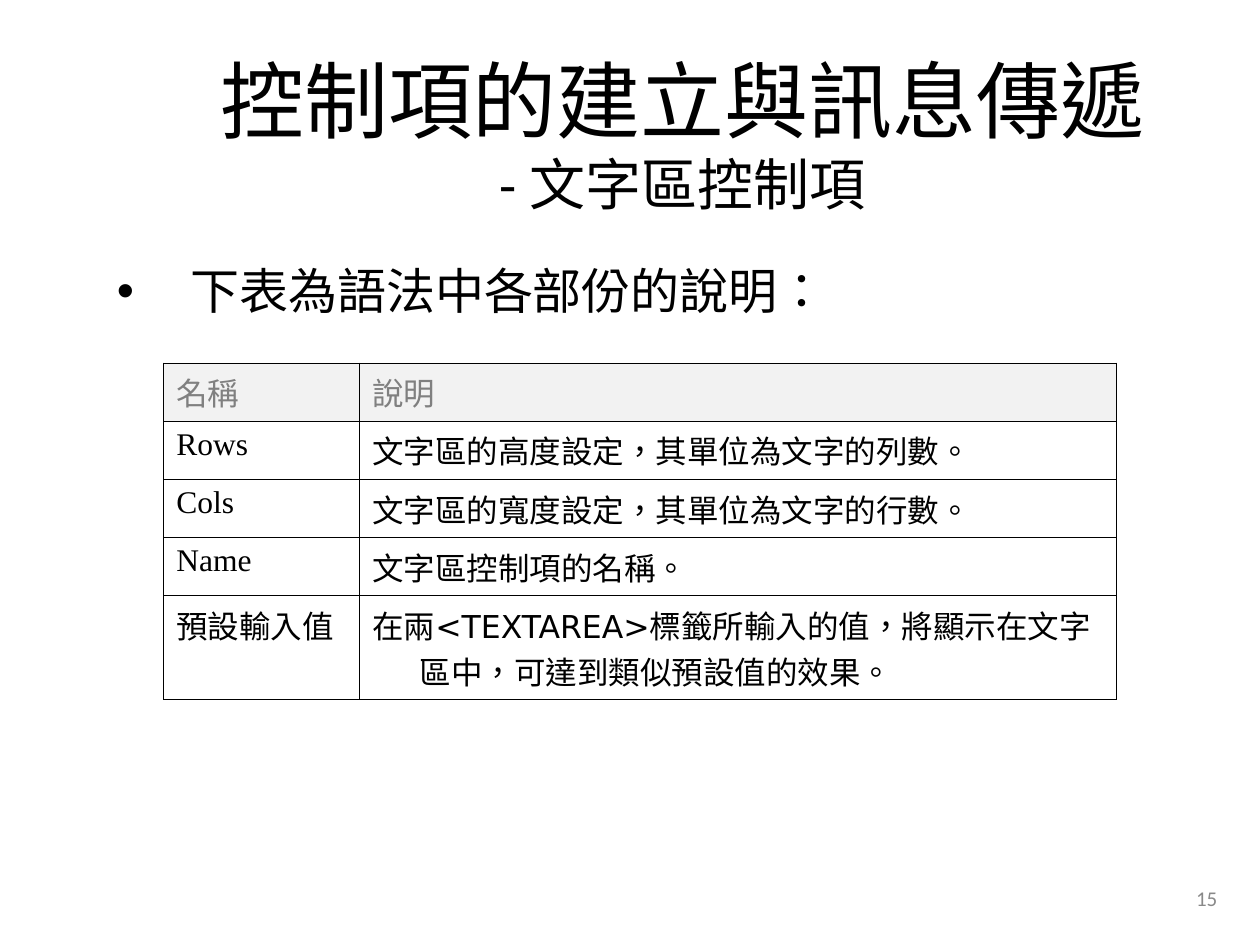
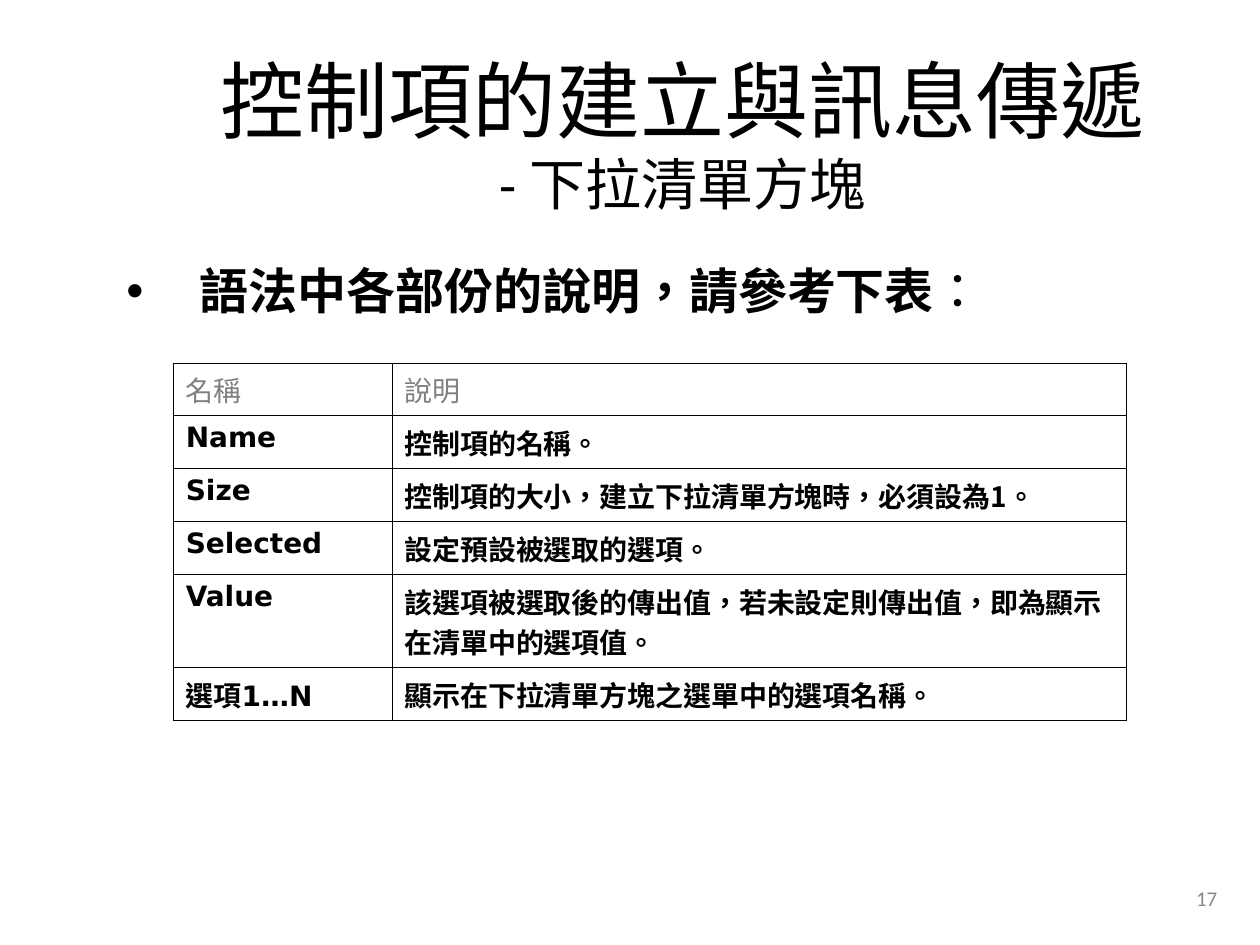
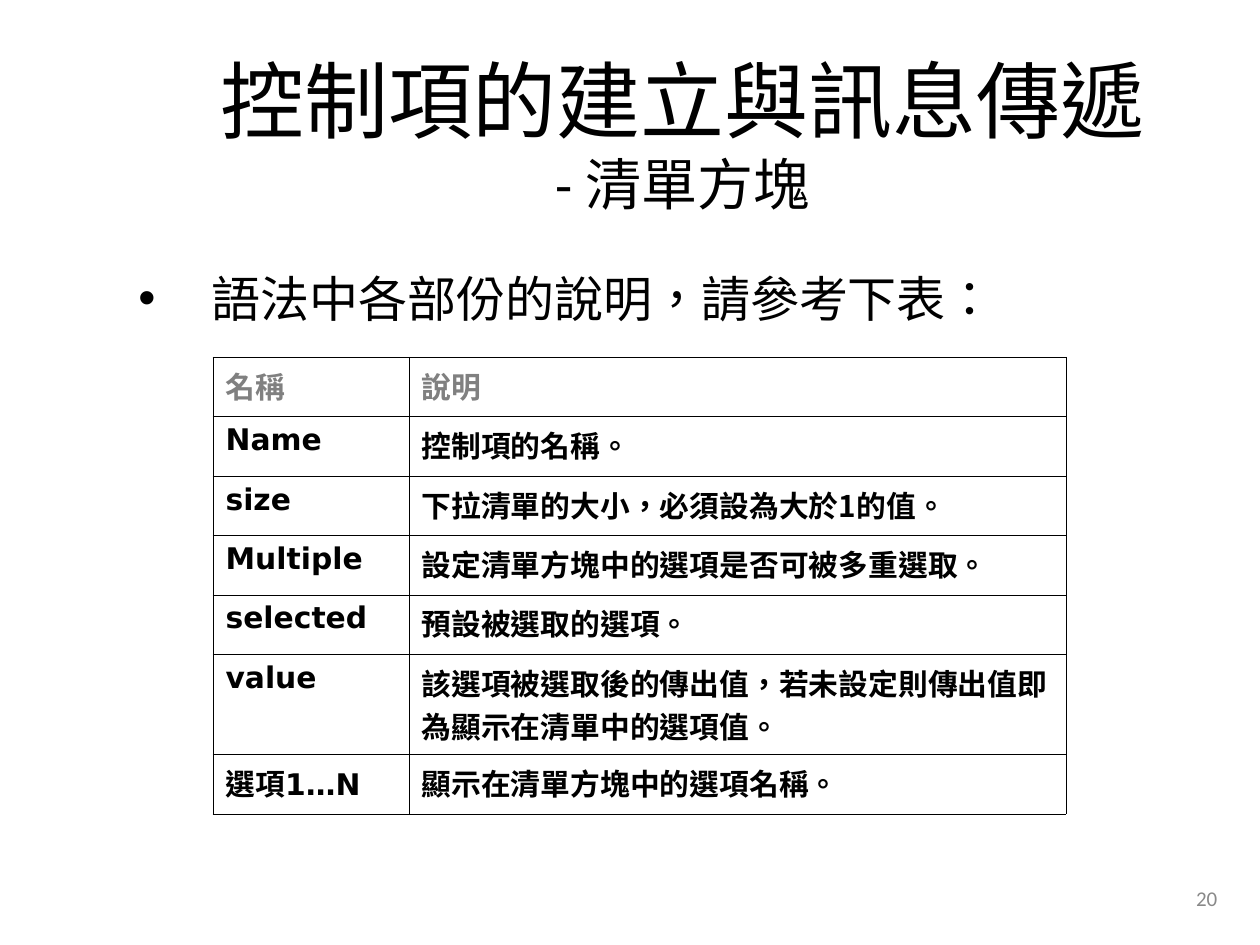
from dataclasses import dataclass

import lxml.etree
import pptx
import pptx.dml.color
import pptx.enum.text
import pptx.oxml.ns
import pptx.util

COLUMNS, ROWS = 100, 75
BLACK, GREY, PALE, WHITE, NUMBER_GREY = "000000", "808080", "F2F2F2", "FFFFFF", "898989"
CALIBRI, SERIF, SANS, HAN = "Calibri", "Times New Roman", "DejaVu Sans", "Noto Sans CJK JP"
TOPIC = "控制項的建立與訊息傳遞"
HEADINGS = ("名稱", "說明")

deck = pptx.Presentation()
deck.slide_width = pptx.util.Inches(10)
deck.slide_height = pptx.util.Inches(7.5)


@dataclass(frozen=True)
class Area:
    left: float
    top: float
    width: float
    height: float

    def lengths(self) -> tuple[int, int, int, int]:
        return across(self.left), down(self.top), across(self.width), down(self.height)


@dataclass(frozen=True)
class Span:
    text: str
    size: float
    font: str = CALIBRI
    color: str = BLACK
    bold: bool = False


@dataclass(frozen=True)
class Grid:
    area: Area
    columns: tuple[float, ...]
    row: float
    tall_row: float
    tall_index: int
    size: float
    border: float
    name_font: str
    note_font: str
    entries: tuple[tuple[str, str], ...]
    heading_fill: str = WHITE
    heading_bold: bool = False
    bold: bool = True
    hanging: float = 0


@dataclass(frozen=True)
class Lesson:
    subject: str
    lead_area: Area
    lead: tuple[Span, ...]
    grid: Grid
    number: int


TITLE_AREA = Area(9.5, 3.4, 89.3, 14.3)
NUMBER_AREA = Area(76.8, 68.8, 20.8, 5)


def across(columns: float) -> int:
    return round(deck.slide_width * columns / COLUMNS)


def down(rows: float) -> int:
    return round(deck.slide_height * rows / ROWS)


def rgb(color: str) -> pptx.dml.color.RGBColor:
    return pptx.dml.color.RGBColor.from_string(color)


def add_child(parent, tag: str, **attributes: str):
    child = lxml.etree.SubElement(parent, pptx.oxml.ns.qn(tag))
    for key, value in attributes.items():
        child.set(key, value)
    return child


def add_span(para, span: Span) -> None:
    run = para.add_run()
    run.text = span.text
    run.font.size = pptx.util.Pt(span.size)
    run.font.name = span.font
    run.font.bold = span.bold
    run.font.color.rgb = rgb(span.color)
    properties = run.font._element
    properties.set("lang", "zh-TW")
    add_child(properties, "a:ea", typeface=HAN)


def hang(para, columns: float) -> None:
    properties = para._p.get_or_add_pPr()
    properties.set("marL", str(across(columns)))
    properties.set("indent", str(-across(columns)))


def place_title(page, subject: str) -> None:
    title = page.shapes.title
    title.left, title.top, title.width, title.height = TITLE_AREA.lengths()
    frame = title.text_frame
    frame.auto_size = pptx.enum.text.MSO_AUTO_SIZE.NONE
    frame.vertical_anchor = pptx.enum.text.MSO_ANCHOR.MIDDLE
    para = frame.paragraphs[0]
    para.alignment = pptx.enum.text.PP_ALIGN.CENTER
    add_span(para, Span(TOPIC, 48))
    para.add_line_break()
    add_span(para, Span(f"- {subject}", 32))


def add_box(page, area: Area, spans: tuple[Span, ...]):
    box = page.shapes.add_textbox(*area.lengths())
    box.text_frame.word_wrap = True
    para = box.text_frame.paragraphs[0]
    for span in spans:
        add_span(para, span)
    return box


def add_lead(page, area: Area, spans: tuple[Span, ...]) -> None:
    para = add_box(page, area, spans).text_frame.paragraphs[0]
    hang(para, 5.83)
    properties = para._p.get_or_add_pPr()
    add_child(properties, "a:buFont", typeface="Arial")
    add_child(properties, "a:buChar", char="•")


def add_number(page, number: int) -> None:
    box = add_box(page, NUMBER_AREA, (Span(str(number), 12, color=NUMBER_GREY),))
    box.text_frame.vertical_anchor = pptx.enum.text.MSO_ANCHOR.MIDDLE
    box.text_frame.paragraphs[0].alignment = pptx.enum.text.PP_ALIGN.RIGHT


def outline(cell, width: float) -> None:
    properties = cell._tc.get_or_add_tcPr()
    for index, side in enumerate(("a:lnL", "a:lnR", "a:lnT", "a:lnB")):
        line = add_child(properties, side, w=str(pptx.util.Pt(width)))
        add_child(add_child(line, "a:solidFill"), "a:srgbClr", val=BLACK)
        properties.insert(index, line)


def add_grid(page, grid: Grid) -> None:
    records = (HEADINGS, *grid.entries)
    table = page.shapes.add_table(len(records), len(HEADINGS), *grid.area.lengths()).table
    table.first_row = table.horz_banding = False
    for column, width in zip(table.columns, grid.columns):
        column.width = across(width)
    for index, record in enumerate(records):
        heading = index == 0
        table.rows[index].height = down(grid.tall_row if index == grid.tall_index else grid.row)
        for place, text in enumerate(record):
            cell = table.cell(index, place)
            font = SERIF if heading else (grid.name_font, grid.note_font)[place]
            color = GREY if heading else BLACK
            bold = grid.heading_bold if heading else grid.bold
            para = cell.text_frame.paragraphs[0]
            if grid.hanging:
                hang(para, grid.hanging)
            before, tag, after = text.partition("<TEXTAREA>")
            for part, face in ((before, font), (tag, SANS), (after, font)):
                if part:
                    add_span(para, Span(part, grid.size, face, color, bold))
            if heading:
                cell.fill.solid()
                cell.fill.fore_color.rgb = rgb(grid.heading_fill)
            else:
                cell.fill.background()
            outline(cell, grid.border)


LESSONS = (
    Lesson(
        "文字區控制項",
        Area(8.3, 20.2, 84.1, 45.8),
        (Span("下表為語法中各部份的說明：", 28),),
        Grid(
            Area(13, 28.8, 75.6, 26.73), (15.55, 60.05), 4.62, 8.25, 4, 18, 0.45, SERIF, SERIF,
            (
                ("Rows", "文字區的高度設定，其單位為文字的列數。"),
                ("Cols", "文字區的寬度設定，其單位為文字的行數。"),
                ("Name", "文字區控制項的名稱。"),
                ("預設輸入值", "在兩<TEXTAREA>標籤所輸入的值，將顯示在文字區中，可達到類似預設值的效果。"),
            ),
            heading_fill=PALE, bold=False, hanging=3.75,
        ),
        15,
    ),
    Lesson(
        "下拉清單方塊",
        Area(9.05, 20.2, 86.5, 45.8),
        (Span("語法中各部份的說明，請參考下表", 28, bold=True), Span("：", 28)),
        Grid(
            Area(13.75, 28.8, 75.6, 28.4), (17.35, 58.25), 4.2, 7.4, 4, 16, 0.34, SANS, HAN,
            (
                ("Name", "控制項的名稱。"),
                ("Size", "控制項的大小，建立下拉清單方塊時，必須設為1。"),
                ("Selected", "設定預設被選取的選項。"),
                ("Value", "該選項被選取後的傳出值，若未設定則傳出值，即為顯示在清單中的選項值。"),
                ("選項1…N", "顯示在下拉清單方塊之選單中的選項名稱。"),
            ),
        ),
        17,
    ),
    Lesson(
        "清單方塊",
        Area(10, 20.8, 86.5, 45.8),
        (Span("語法中各部份的說明，請參考下表：", 28),),
        Grid(
            Area(16.9, 28.35, 67.7, 36.26), (15.55, 52.15), 4.72, 7.94, 5, 17, 0.34, SANS, HAN,
            (
                ("Name", "控制項的名稱。"),
                ("size", "下拉清單的大小，必須設為大於1的值。"),
                ("Multiple", "設定清單方塊中的選項是否可被多重選取。"),
                ("selected", "預設被選取的選項。"),
                ("value", "該選項被選取後的傳出值，若未設定則傳出值即為顯示在清單中的選項值。"),
                ("選項1…N", "顯示在清單方塊中的選項名稱。"),
            ),
            heading_bold=True,
        ),
        20,
    ),
)


def main() -> None:
    for lesson in LESSONS:
        page = deck.slides.add_slide(deck.slide_layouts[5])
        place_title(page, lesson.subject)
        add_lead(page, lesson.lead_area, lesson.lead)
        add_grid(page, lesson.grid)
        add_number(page, lesson.number)
    deck.save("out.pptx")


if __name__ == "__main__":
    main()
